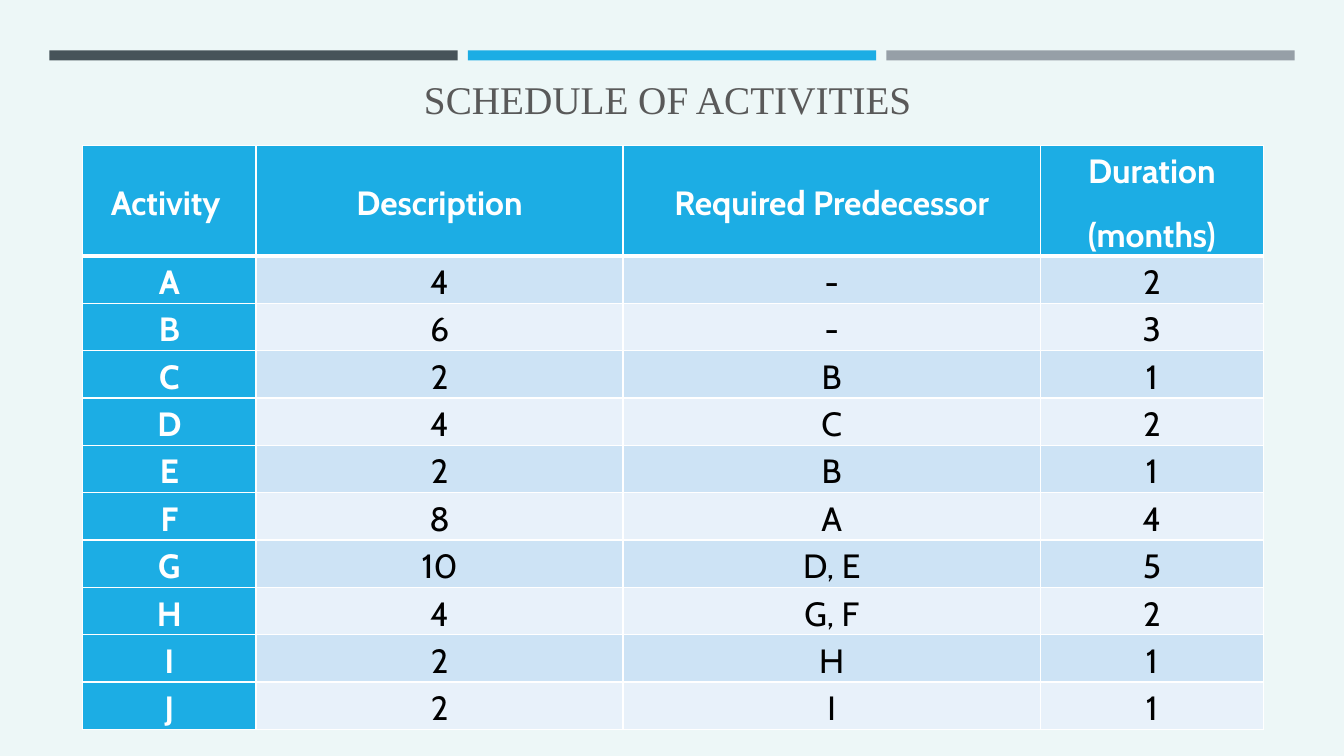
from lxml.etree import SubElement
from pptx import Presentation
from pptx.dml.color import RGBColor
from pptx.enum.shapes import MSO_SHAPE
from pptx.enum.text import MSO_ANCHOR, PP_ALIGN
from pptx.oxml.ns import qn
from pptx.util import Inches, Pt

COLORS = {
    "background": "EDF7F7",
    "slate": "465359",
    "blue": "1CADE4",
    "gray": "969FA7",
    "title": "595959",
    "dark_band": "CDE3F5",
    "light_band": "E8F1FA",
    "white": "FFFFFF",
    "black": "000000",
}

HEADINGS = ["Activity\u00a0", "Description", "Required Predecessor", "Duration\n(months)"]
ACTIVITIES = [
    ("A", "4", "-", "2"),
    ("B", "6", "-", "3"),
    ("C", "2", "B", "1"),
    ("D", "4", "C", "2"),
    ("E", "2", "B", "1"),
    ("F", "8", "A", "4"),
    ("G", "10", "D, E", "5"),
    ("H", "4", "G, F", "2"),
    ("I", "2", "H", "1"),
    ("J", "2", "I", "1"),
]
COLUMN_WIDTHS = [1.72, 3.64, 4.14, 2.21]
HEADING_HEIGHT, ACTIVITY_HEIGHT = 0.98, 0.47


def rgb(name):
    return RGBColor.from_string(COLORS[name])


class SlideBuilder:
    title_font = "Times New Roman"
    table_font = "Cabin"

    def __init__(self, presentation):
        self.slide = presentation.slides.add_slide(presentation.slide_layouts[5])
        background = self.slide.background.fill
        background.solid()
        background.fore_color.rgb = rgb("background")

    def bar(self, left, top, width, height, color):
        bar = self.slide.shapes.add_shape(
            MSO_SHAPE.RECTANGLE, Inches(left), Inches(top), Inches(width), Inches(height))
        bar.shadow.inherit = False
        bar.fill.solid()
        bar.fill.fore_color.rgb = rgb(color)
        bar.line.fill.background()

    def title(self, text, left, top, width, height):
        title = self.slide.shapes.title
        title.left, title.top = Inches(left), Inches(top)
        title.width, title.height = Inches(width), Inches(height)
        frame = title.text_frame
        frame.text = text
        frame.word_wrap = True
        frame.vertical_anchor = MSO_ANCHOR.MIDDLE
        heading = frame.paragraphs[0]
        heading.alignment = PP_ALIGN.CENTER
        self.style_font(heading, self.title_font, 28, "title", False)

    def style_font(self, paragraph, name, size, color, bold):
        font = paragraph.font
        font.name, font.size, font.bold = name, Pt(size), bold
        font.color.rgb = rgb(color)

    def table(self, rows, left, top, widths, heights):
        table = self.slide.shapes.add_table(
            len(rows), len(widths), Inches(left), Inches(top),
            Inches(sum(widths)), Inches(sum(heights))).table
        for column, width in zip(table.columns, widths):
            column.width = Inches(width)
        for row, height in zip(table.rows, heights):
            row.height = Inches(height)
        for r, row in enumerate(rows):
            band = "dark_band" if r % 2 else "light_band"
            for c, text in enumerate(row):
                heading = r == 0 or c == 0
                self.cell(table.cell(r, c), text, "blue" if heading else band,
                          "white" if heading else "black", heading,
                          top_line=3 if r == 1 else 1, bottom_line=3 if r == 0 else 1)

    def cell(self, cell, text, fill, color, bold, top_line, bottom_line):
        cell.text = text
        cell.vertical_anchor = MSO_ANCHOR.MIDDLE
        cell.margin_left = cell.margin_right = Inches(0.06)
        cell.margin_top = cell.margin_bottom = 0
        for i, paragraph in enumerate(cell.text_frame.paragraphs):
            paragraph.alignment = PP_ALIGN.CENTER
            paragraph.line_spacing = 1.15
            if i:
                paragraph.space_before = Pt(12)
            self.style_font(paragraph, self.table_font, 24, color, bold)
        # Borders come before the fill in the cell properties
        for side, width in (("L", 1), ("R", 1), ("T", top_line), ("B", bottom_line)):
            self.border(cell, side, width)
        cell.fill.solid()
        cell.fill.fore_color.rgb = rgb(fill)

    def border(self, cell, side, width):
        properties = cell._tc.get_or_add_tcPr()
        line = SubElement(properties, qn(f"a:ln{side}"), w=str(Pt(width)))
        solid = SubElement(line, qn("a:solidFill"))
        SubElement(solid, qn("a:srgbClr"), val=COLORS["white"])


def main():
    presentation = Presentation()
    presentation.slide_width = Inches(13.33)
    presentation.slide_height = Inches(7.5)
    schedule = SlideBuilder(presentation)

    # Three bars across the top
    for i, color in enumerate(["slate", "blue", "gray"]):
        schedule.bar(0.49 + i * 4.15, 0.5, 4.05, 0.1, color)

    # Title
    schedule.title("SCHEDULE OF ACTIVITIES ", 0.64, 0.64, 12.06, 0.68)

    # Activity table
    heights = [HEADING_HEIGHT] + [ACTIVITY_HEIGHT] * len(ACTIVITIES)
    schedule.table([HEADINGS, *ACTIVITIES], 0.82, 1.44, COLUMN_WIDTHS, heights)

    presentation.save("out.pptx")


if __name__ == "__main__":
    main()
